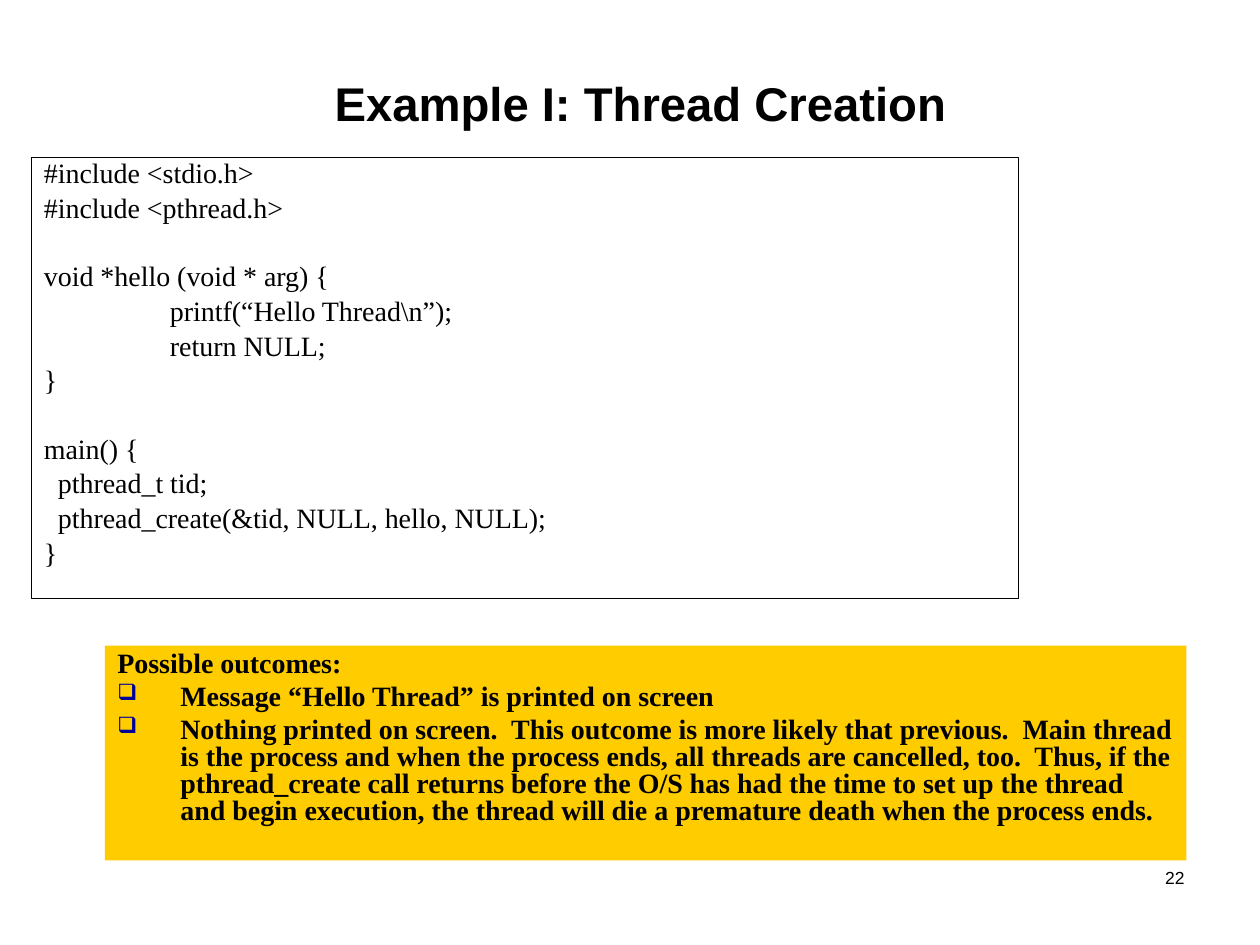
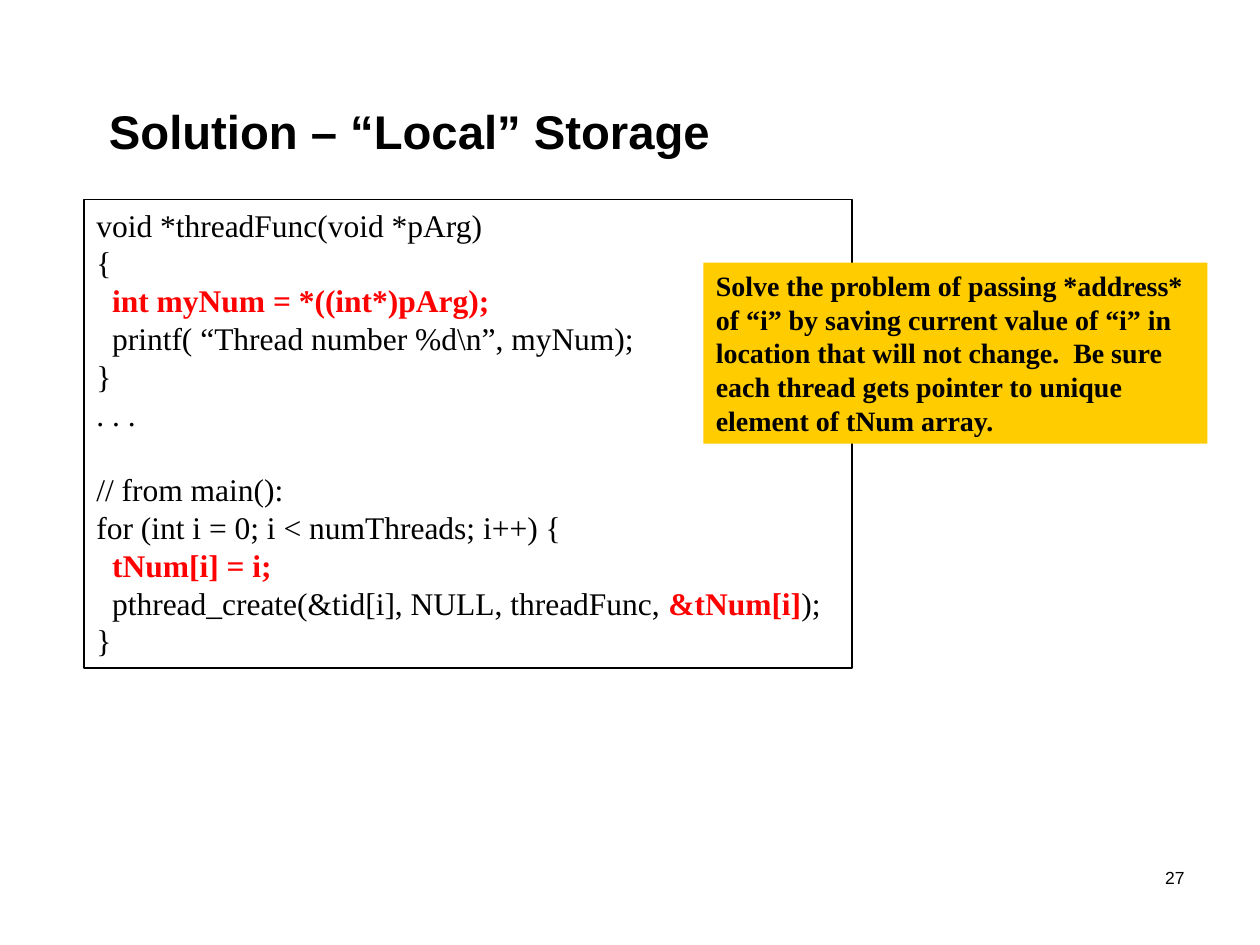
import pptx
import pptx.dml.color
import pptx.enum.shapes
import pptx.enum.text
import pptx.util
import lxml.etree

Pt = pptx.util.Pt
ALIGN = pptx.enum.text.PP_ALIGN
ANCHOR = pptx.enum.text.MSO_ANCHOR

BLACK = "000000"
RED = "FF0000"
NOTE_YELLOW = "FFCC00"
BULLET_BLUE = "000099"
TITLE_FONT = {"name": "Arial", "size": Pt(27), "bold": True}
NUMBER_FONT = {"name": "Arial", "size": Pt(10)}
CODE_FONT = {"name": "Times New Roman", "size": Pt(16), "bold": False}
LARGE_CODE_FONT = {**CODE_FONT, "size": Pt(18)}
NOTE_FONT = {**CODE_FONT, "bold": True}
FRAME = {"word_wrap": True, "auto_size": pptx.enum.text.MSO_AUTO_SIZE.NONE}

CREATION_CODE = [
    ("#include <stdio.h>", 0, False),
    ("#include <pthread.h>", 0, False),
    ("void *hello (void * arg) {", 0, True),
    ("printf(“Hello Thread\\n”);", 72, False),
    ("return NULL;", 72, False),
    ("}", 0, False),
    ("main() {", 0, True),
    ("pthread_t tid;", 8, False),
    ("pthread_create(&tid, NULL, hello, NULL);", 8, False),
    ("}", 0, False),
]
STORAGE_CODE = [
    ("void *threadFunc(void *pArg)", 0, False),
    ("{", 0, False),
    ([("int myNum = *((int*)pArg);", True)], 9, False),
    ("printf( “Thread number %d\\n”, myNum);", 9, False),
    ("}", 0, False),
    (". . .", 0, False),
    ("// from main():", 0, True),
    ("for (int i = 0; i < numThreads; i++) {", 0, False),
    ([("tNum[i] = i;", True)], 9, False),
    ([("pthread_create(&tid[i], NULL, threadFunc, ", False),
      ("&tNum[i]", True), (");", False)], 9, False),
    ("}", 0, False),
]
OUTCOMES = [
    "Message “Hello Thread” is printed on screen",
    "Nothing printed on screen.  This outcome is more likely that previous.  "
    "Main thread is the process and when the process ends, all threads are "
    "cancelled, too.  Thus, if the pthread_create call returns before the O/S "
    "has had the time to set up the thread and begin execution, the thread "
    "will die a premature death when the process ends.",
]
STORAGE_NOTE = (
    "Solve the problem of passing *address* of “i” by saving current value of "
    "“i” in location that will not change.  Be sure each thread gets pointer "
    "to unique element of tNum array."
)


def colour(value):
    return pptx.dml.color.RGBColor.from_string(value)


def apply(target, formats):
    for attribute, value in formats.items():
        setattr(target, attribute, value)


def add_run(paragraph, text, font, ink=BLACK):
    run = paragraph.add_run()
    run.text = text
    apply(run.font, font)
    run.font.color.rgb = colour(ink)


def indent(paragraph, left, first=0):
    properties = paragraph._p.get_or_add_pPr()
    properties.set("marL", str(Pt(left)))
    properties.set("indent", str(Pt(first)))
    return properties


def add_bullet(properties):
    tint = lxml.etree.SubElement(properties, pptx.oxml.ns.qn("a:buClr"))
    lxml.etree.SubElement(tint, pptx.oxml.ns.qn("a:srgbClr"), val=BULLET_BLUE)
    lxml.etree.SubElement(properties, pptx.oxml.ns.qn("a:buSzPct"), val="80000")
    lxml.etree.SubElement(properties, pptx.oxml.ns.qn("a:buChar"), char="❑")


def next_paragraph(frame, index):
    return frame.add_paragraph() if index else frame.paragraphs[0]


def add_slide(deck, title, title_area, number):
    slide = deck.slides.add_slide(deck.slide_layouts[5])
    heading = slide.shapes.title
    apply(heading, dict(zip(("left", "top", "width", "height"), map(Pt, title_area))))
    apply(heading.text_frame, {**FRAME, "vertical_anchor": ANCHOR.MIDDLE})
    paragraph = heading.text_frame.paragraphs[0]
    paragraph.alignment = ALIGN.CENTER
    add_run(paragraph, title, TITLE_FONT)

    page = slide.shapes.add_textbox(Pt(534), Pt(492), Pt(150), Pt(36))
    page.text_frame.word_wrap = True
    paragraph = page.text_frame.paragraphs[0]
    paragraph.alignment = ALIGN.RIGHT
    add_run(paragraph, number, NUMBER_FONT)
    return slide


def add_panel(slide, area, fill=None, border=None):
    panel = slide.shapes.add_shape(
        pptx.enum.shapes.MSO_SHAPE.RECTANGLE, *map(Pt, area))
    panel.shadow.inherit = False
    if fill:
        panel.fill.solid()
        panel.fill.fore_color.rgb = colour(fill)
    else:
        panel.fill.background()
    if border:
        panel.line.color.rgb = colour(BLACK)
        panel.line.width = Pt(border)
    else:
        panel.line.fill.background()
    apply(panel.text_frame, {**FRAME, "vertical_anchor": ANCHOR.TOP})
    return panel.text_frame


def add_code(slide, area, border, lines, font, spacing, gap, pitch):
    frame = add_panel(slide, area, border=border)
    for index, (content, left, starts_block) in enumerate(lines):
        paragraph = next_paragraph(frame, index)
        before = (gap if index else 0) + (pitch if starts_block else 0)
        apply(paragraph, {"alignment": ALIGN.LEFT, "line_spacing": spacing,
                          "space_before": Pt(before)})
        indent(paragraph, left)
        pieces = [(content, False)] if isinstance(content, str) else content
        for text, changed in pieces:
            add_run(paragraph, text, {**font, "bold": changed},
                    RED if changed else BLACK)


def add_outcomes(slide, area, heading, outcomes):
    frame = add_panel(slide, area, fill=NOTE_YELLOW)
    for index, text in enumerate([heading, *outcomes]):
        paragraph = next_paragraph(frame, index)
        apply(paragraph, {"alignment": ALIGN.LEFT, "line_spacing": 0.8,
                          "space_before": Pt(3.6 if index else 0)})
        properties = indent(paragraph, 36, -36)
        if index:
            add_bullet(properties)
        add_run(paragraph, text, NOTE_FONT)


def add_note(slide, area, text):
    paragraph = add_panel(slide, area, fill=NOTE_YELLOW).paragraphs[0]
    paragraph.alignment = ALIGN.LEFT
    add_run(paragraph, text, NOTE_FONT)


def main():
    deck = pptx.Presentation()
    apply(deck, {"slide_width": Pt(720), "slide_height": Pt(540)})

    creation = add_slide(deck, "Example I: Thread Creation", (132, 36, 468, 45), "22")
    add_code(creation, (18, 90, 564, 252), 0.75, CREATION_CODE, CODE_FONT,
             spacing=0.75, gap=5.4, pitch=19.2)
    add_outcomes(creation, (60, 369, 618, 122.75), "Possible outcomes:", OUTCOMES)

    storage = add_slide(deck, "Solution – “Local” Storage", (24, 52, 420, 45), "27")
    add_code(storage, (48, 114, 438.75, 267.75), 1, STORAGE_CODE, LARGE_CODE_FONT,
             spacing=1.0, gap=0, pitch=21.6)
    add_note(storage, (402, 150, 288, 103.5), STORAGE_NOTE)

    deck.save("out.pptx")


if __name__ == "__main__":
    main()
